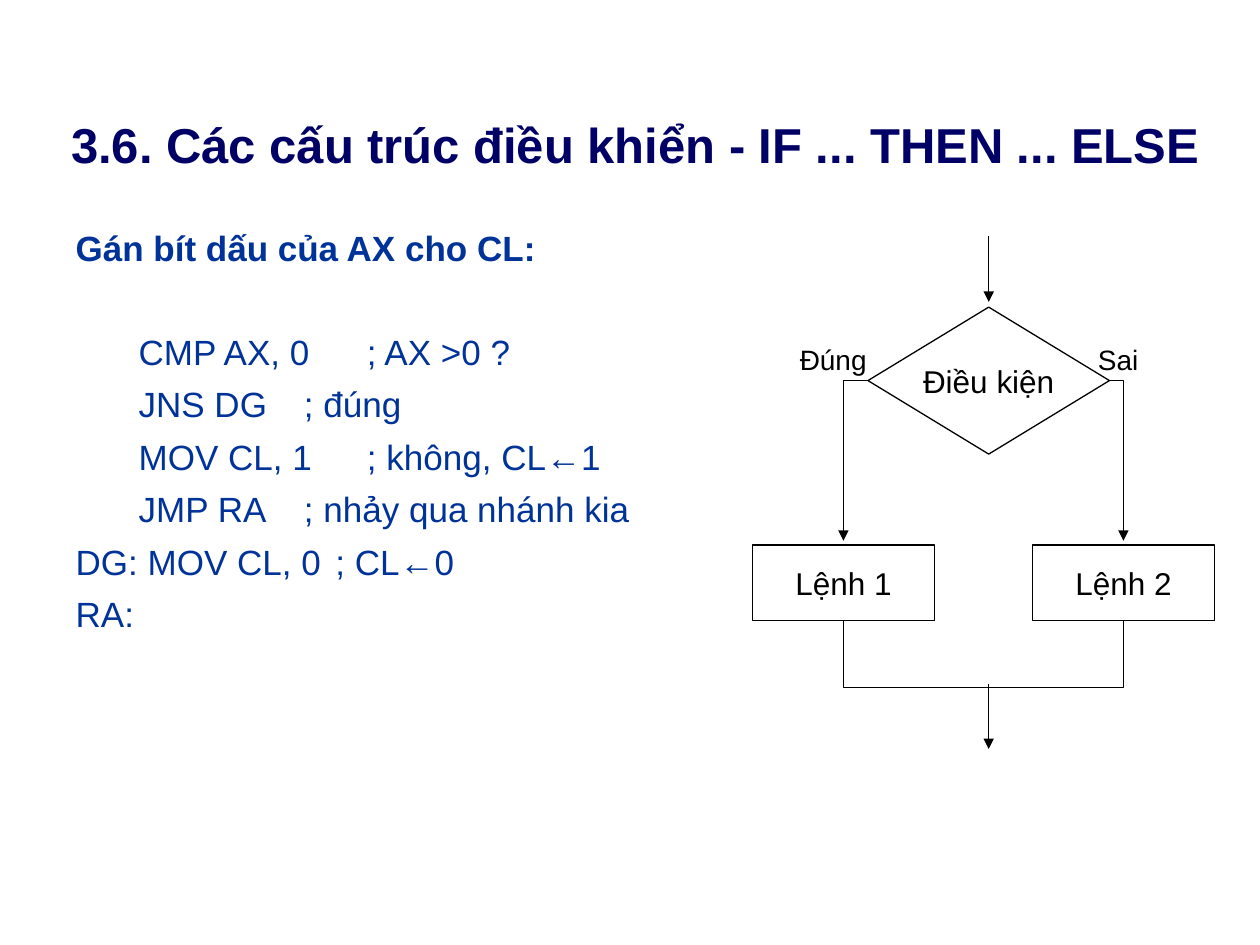
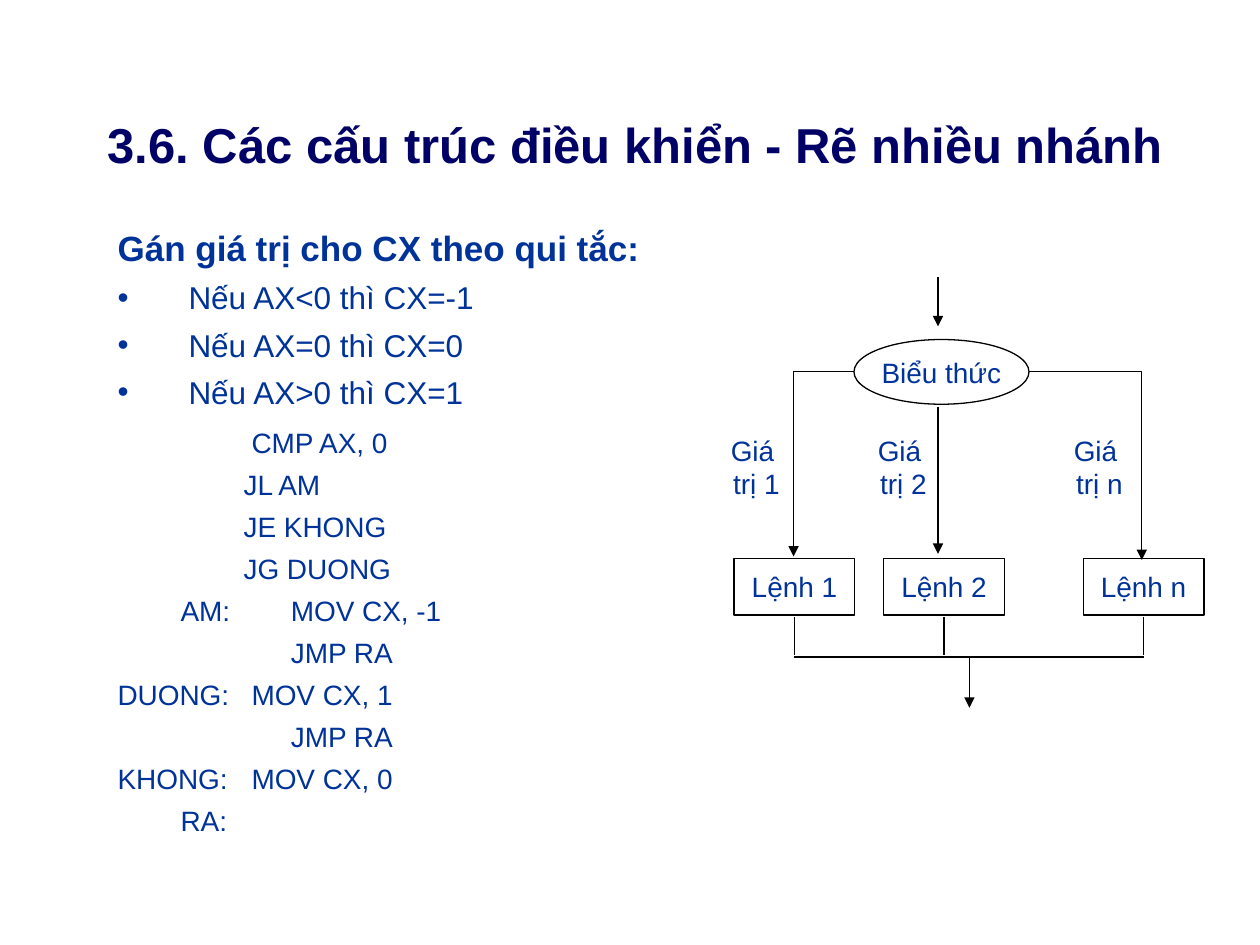
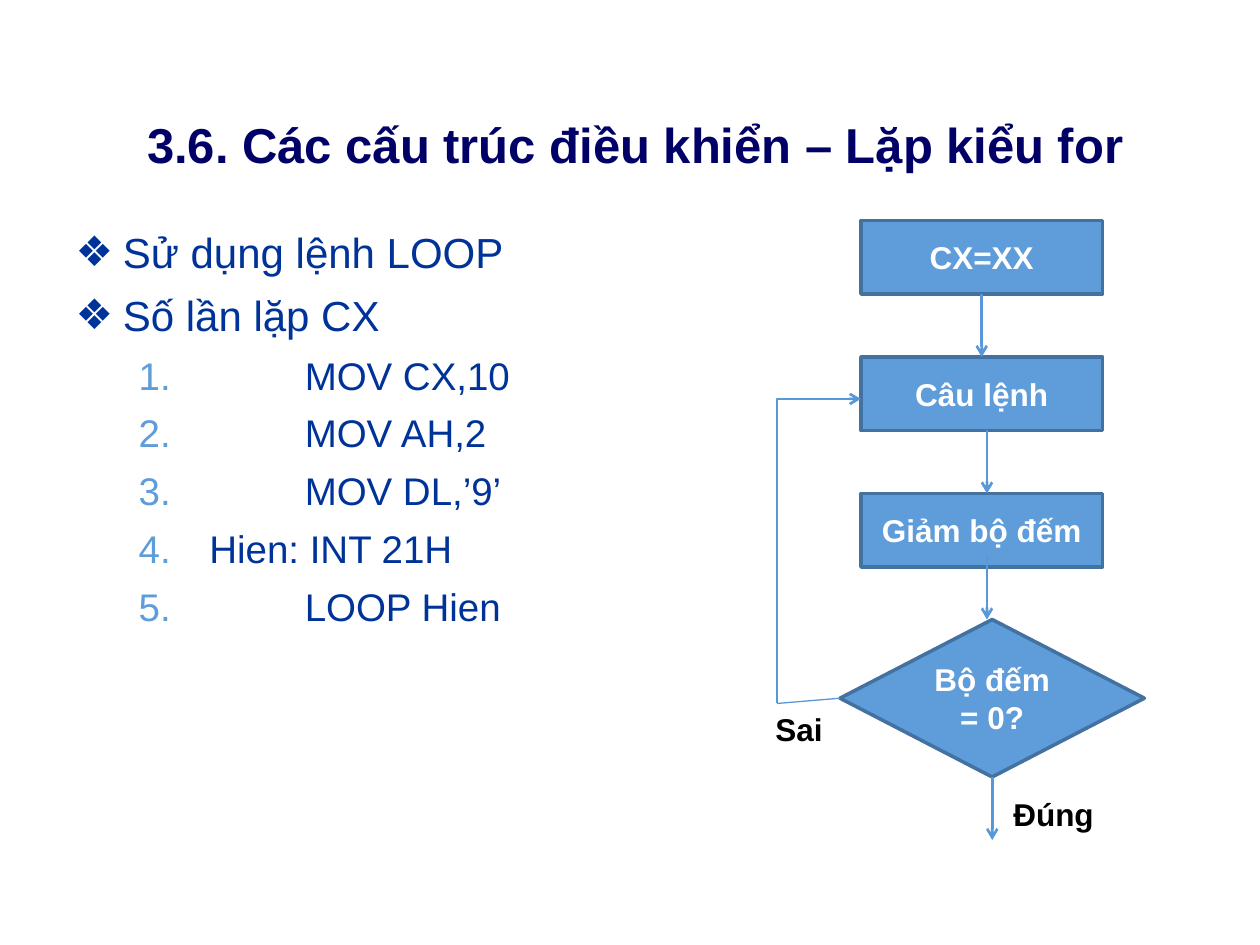
from dataclasses import dataclass

from lxml.etree import SubElement
from pptx import Presentation
from pptx.dml.color import RGBColor
from pptx.enum.shapes import MSO_CONNECTOR, MSO_SHAPE
from pptx.enum.text import MSO_ANCHOR, MSO_AUTO_SIZE, PP_ALIGN
from pptx.oxml.ns import qn
from pptx.util import Pt


@dataclass(frozen=True)
class Theme:
    """Colours, font, sizes and line widths shared by the slides."""
    font: str = "Arial"
    title: str = "000066"
    body: str = "003399"
    ink: str = "000000"
    light: str = "FFFFFF"
    accent: str = "5E9CDA"
    accent_edge: str = "4371A0"
    accent_flow: str = "5998D8"
    title_size: int = 28
    list_size: int = 24
    step_size: int = 22
    lead_size: int = 20
    text_size: int = 18
    code_size: int = 16
    thin: float = 0.75
    flow: float = 1.5
    edge: float = 2
    before: float = 0.3  # space above a paragraph, as a share of its type size


THEME = Theme()
TITLE_BOX = (18, 60, 690, 41)
TAB_STOPS = [72 * inch for inch in range(8)]


def colour(code):
    """Turn a hex code into a colour."""
    return RGBColor.from_string(code)


def add_run(paragraph, words, size, ink, bold=False):
    """Add one formatted run."""
    run = paragraph.add_run()
    run.text = words
    run.font.name = THEME.font
    run.font.size = Pt(size)
    run.font.bold = bold
    run.font.color.rgb = colour(ink)


def place(part, box):
    """Move a placeholder into a box."""
    part.left, part.top, part.width, part.height = map(Pt, box)


def add_title(slide, words, box=TITLE_BOX):
    """Fill the title placeholder."""
    title = slide.shapes.title
    place(title, box)
    frame = title.text_frame
    frame.auto_size = MSO_AUTO_SIZE.NONE
    frame.vertical_anchor = MSO_ANCHOR.BOTTOM
    frame.margin_top = frame.margin_bottom = Pt(2)
    frame.paragraphs[0].alignment = PP_ALIGN.CENTER
    add_run(frame.paragraphs[0], words, THEME.title_size, THEME.title, True)


@dataclass(frozen=True)
class Style:
    """Look of one kind of paragraph in a list."""
    size: int
    margin: float
    hang: float
    level: int = 0
    bold: bool = False
    bullet: str = ""
    numbered: bool = False
    extra_before: float = 0


def set_bullet(properties, style):
    """Set the bullet, number or absence of one."""
    if not (style.bullet or style.numbered):
        SubElement(properties, qn("a:buNone"))
        return
    shade = SubElement(properties, qn("a:buClr"))
    SubElement(shade, qn("a:srgbClr"),
               val=THEME.accent if style.numbered else THEME.body)
    SubElement(properties, qn("a:buFont"), typeface=THEME.font)
    if style.numbered:
        SubElement(properties, qn("a:buAutoNum"), type="arabicPeriod")
    else:
        SubElement(properties, qn("a:buChar"), char=style.bullet)


def add_list(slide, box, entries):
    """Fill the body placeholder with (style, words) entries."""
    body = slide.placeholders[1]
    place(body, box)
    frame = body.text_frame
    frame.word_wrap = True
    frame.auto_size = MSO_AUTO_SIZE.NONE
    frame.vertical_anchor = MSO_ANCHOR.TOP
    for index, (style, words) in enumerate(entries):
        paragraph = frame.add_paragraph() if index else frame.paragraphs[0]
        paragraph.level = style.level
        paragraph.space_before = Pt(style.size * THEME.before + style.extra_before)
        properties = paragraph._p.get_or_add_pPr()
        properties.set("marL", str(Pt(style.margin)))
        properties.set("indent", str(Pt(-style.hang)))
        set_bullet(properties, style)
        stops = SubElement(properties, qn("a:tabLst"))
        for stop in TAB_STOPS:
            SubElement(stops, qn("a:tab"), pos=str(Pt(stop)), algn="l")
        add_run(paragraph, words, style.size, THEME.body, style.bold)


@dataclass
class Flowchart:
    """A flowchart whose parts are placed relative to its top left corner."""
    slide: object
    left: float
    top: float
    size: int = THEME.text_size
    ink: str = THEME.ink
    bold: bool = False
    fill: str = ""
    edge: str = THEME.ink
    edge_width: float = THEME.thin
    flow: str = THEME.ink
    flow_width: float = THEME.thin
    arrow: str = "triangle"

    def spot(self, x, y):
        """Slide position of a point of the chart."""
        return Pt(self.left + x), Pt(self.top + y)

    def caption(self, frame, words, size, ink, align=PP_ALIGN.CENTER):
        """Put lines of text into a frame."""
        paragraph = frame.paragraphs[0]
        paragraph.alignment = align
        for index, line in enumerate(words.split("\n")):
            if index:
                paragraph.add_line_break()
            add_run(paragraph, line, size, ink, self.bold)

    def node(self, kind, box, words):
        """Add a step or decision."""
        x, y, width, height = box
        node = self.slide.shapes.add_shape(
            kind, *self.spot(x, y), Pt(width), Pt(height))
        node.shadow.inherit = False
        if self.fill:
            node.fill.solid()
            node.fill.fore_color.rgb = colour(self.fill)
        else:
            node.fill.background()
        node.line.color.rgb = colour(self.edge)
        node.line.width = Pt(self.edge_width)
        node.text_frame.word_wrap = bool(self.fill)
        node.text_frame.vertical_anchor = MSO_ANCHOR.MIDDLE
        self.caption(node.text_frame, words, self.size, self.ink)

    def label(self, box, words, size, ink, align=PP_ALIGN.LEFT, wrap=True):
        """Add a branch label."""
        x, y, width, height = box
        label = self.slide.shapes.add_textbox(
            *self.spot(x, y), Pt(width), Pt(height))
        label.text_frame.word_wrap = wrap
        label.text_frame.vertical_anchor = (
            MSO_ANCHOR.TOP if wrap else MSO_ANCHOR.MIDDLE)
        self.caption(label.text_frame, words, size, ink, align)

    def link(self, start, end, tip="tailEnd", elbow=False, width=None):
        """Add a line; an elbow runs across first, then up or down."""
        link = self.slide.shapes.add_connector(
            MSO_CONNECTOR.ELBOW if elbow else MSO_CONNECTOR.STRAIGHT,
            *self.spot(*start), *self.spot(*end))
        link.line.color.rgb = colour(self.flow)
        link.line.width = Pt(width or self.flow_width)
        properties = link._element.spPr
        if elbow:
            properties.find(qn("a:prstGeom")).set("prst", "bentConnector2")
        if tip:
            SubElement(properties.find(qn("a:ln")), qn(f"a:{tip}"),
                       type=self.arrow)
        SubElement(properties, qn("a:effectLst"))


def draw_if_else(slide, left, top):
    """Draw the two-way branch."""
    chart = Flowchart(slide, left, top)
    axis, true_x, false_x, merge_y = 135, 52, 212, 258
    chart.label((176, 57, 66, 27), "Sai", THEME.code_size, THEME.ink,
                PP_ALIGN.CENTER)
    chart.label((20, 57, 66, 27), "Đúng", THEME.code_size, THEME.ink)
    chart.node(MSO_SHAPE.DIAMOND, (axis - 69, 40.5, 138, 84), "Điều kiện")
    chart.link((axis, 0), (axis, 37.5))
    for x, words in ((true_x, "Lệnh 1"), (false_x, "Lệnh 2")):
        chart.node(MSO_SHAPE.RECTANGLE, (x - 52, 176.5, 104, 43), words)
        side = -69 if x < axis else 69
        chart.link((axis + side, 82.5), (x, 174), elbow=True)
        chart.link((axis, merge_y), (x, 219.5), tip=None, elbow=True)
    chart.link((axis, merge_y - 2), (axis, 293))


def draw_switch(slide, left, top):
    """Draw the many-way branch."""
    chart = Flowchart(slide, left, top, size=THEME.code_size, ink=THEME.body)
    axis, bus_y, exit_x = 130, 217, 148
    branches = (("1", 48, 0), ("2", 133.5, 84), ("n", 247.5, 196))
    chart.node(MSO_SHAPE.OVAL, (82, 35.5, 100, 37), "Biểu thức")
    for name, x, label_x in branches:
        chart.node(MSO_SHAPE.RECTANGLE, (x - 34.5, 160.5, 69, 32.5), f"Lệnh {name}")
        chart.link((x, 194), (x, 216), tip=None)
        chart.label((label_x, 88.5, 52.5, 39.5), f"Giá \ntrị {name}",
                    chart.size, chart.ink, PP_ALIGN.CENTER, wrap=False)
    chart.link((branches[-1][1], bus_y), (branches[0][1], bus_y), tip=None)
    chart.link((exit_x, bus_y), (exit_x, 246))
    chart.link((axis, 0), (axis, 28))
    chart.link((axis, 74), (axis, 158))
    chart.link((82, 54), (47.5, 159.5), elbow=True)
    chart.link((182, 54), (246.5, 161.5), elbow=True)


def draw_for_loop(slide, left, top):
    """Draw the counted loop."""
    chart = Flowchart(slide, left, top, ink=THEME.light, bold=True,
                      fill=THEME.accent, edge=THEME.accent_edge,
                      edge_width=THEME.edge, flow=THEME.accent_flow,
                      flow_width=THEME.flow, arrow="arrow")
    pitch, gap, back_x = 78, 36, 8
    steps = (("CX=XX", 125), ("Câu lệnh", 128), ("Giảm bộ đếm", 128))
    for row, (words, _) in enumerate(steps):
        chart.node(MSO_SHAPE.FLOWCHART_PROCESS, (56, row * pitch, 138, 42), words)
    chart.node(MSO_SHAPE.FLOWCHART_DECISION, (44, 228, 174, 90), "Bộ đếm = 0?")
    for (_, x), end in zip(steps, (pitch, 2 * pitch, 228)):
        chart.link((x, end - gap), (x, end))
    chart.link((56, 102), (back_x, 276), tip="headEnd", elbow=True)
    chart.link((44, 273), (back_x, 276), tip=None, width=THEME.thin)
    chart.link((131, 318), (131, 318 + gap))
    chart.label((136, 325, 64, 29), "Đúng", THEME.text_size, THEME.ink)
    chart.label((0, 276, 64, 29), "Sai", THEME.text_size, THEME.ink)


LEAD = Style(THEME.lead_size, 40.5, 40.5, bold=True)
PLAIN = Style(THEME.lead_size, 40.5, 40.5)
CODE = Style(THEME.lead_size, 58.5, 22.5, level=1)
CODE_FIRST = Style(THEME.lead_size, 58.5, 22.5, level=1, extra_before=29)
RULE = Style(THEME.text_size, 40.5, 40.5, bullet="•")
LABELLED = Style(THEME.code_size, 40.5, 40.5)
LABELLED_FIRST = Style(THEME.code_size, 40.5, 40.5, extra_before=4)
JUMP = Style(THEME.code_size, 93, 21, level=2)
TARGET = Style(THEME.code_size, 63, 27, level=1)
POINT = Style(THEME.list_size, 27, 27, bullet="❖")
STEP = Style(THEME.step_size, 131, 95, level=1, numbered=True)
STEP_LABELLED = Style(THEME.step_size, 76.5, 40.5, level=1, numbered=True)

IF_ELSE = [
    (LEAD, "Gán bít dấu của AX cho CL:"),
    (CODE_FIRST, "CMP AX, 0\t; AX >0 ?"),
    (CODE, "JNS DG\t; đúng"),
    (CODE, "MOV CL, 1\t; không, CL←1"),
    (CODE, "JMP RA\t; nhảy qua nhánh kia"),
    (PLAIN, "DG: MOV CL, 0\t; CL←0"),
    (PLAIN, "RA:"),
]
SWITCH = [
    (LEAD, "Gán giá trị cho CX theo qui tắc:"),
    (RULE, "Nếu AX<0 thì CX=-1"),
    (RULE, "Nếu AX=0 thì CX=0"),
    (RULE, "Nếu AX>0 thì CX=1"),
    (LABELLED_FIRST, "\t\tCMP AX, 0"),
    (JUMP, "JL AM"),
    (JUMP, "JE KHONG"),
    (JUMP, "JG DUONG"),
    (TARGET, "AM: \tMOV CX, -1"),
    (TARGET, "\t\tJMP RA"),
    (LABELLED, "DUONG: \tMOV CX, 1"),
    (TARGET, "\t\tJMP RA"),
    (LABELLED, "KHONG: \tMOV CX, 0"),
    (TARGET, "RA:"),
]
FOR_LOOP = [
    (POINT, "Sử dụng lệnh LOOP"),
    (POINT, "Số lần lặp CX"),
    (STEP, "MOV CX,10"),
    (STEP, "MOV AH,2"),
    (STEP, "MOV DL,’9’"),
    (STEP_LABELLED, "Hien: INT 21H"),
    (STEP, "LOOP Hien"),
]
TOPICS = [
    ("- IF ... THEN ... ELSE", (36, 126, 366, 356), IF_ELSE,
     draw_if_else, (430, 135)),
    ("- Rẽ nhiều nhánh", (60, 126, 354, 356), SWITCH,
     draw_switch, (406, 158.5)),
    ("– Lặp kiểu for", (36, 126, 354, 356), FOR_LOOP,
     draw_for_loop, (436, 126)),
]


def build():
    """Build and save the presentation."""
    deck = Presentation()
    deck.slide_width, deck.slide_height = Pt(720), Pt(540)
    for topic, list_box, entries, draw, corner in TOPICS:
        slide = deck.slides.add_slide(deck.slide_layouts[1])
        add_title(slide, f"3.6. Các cấu trúc điều khiển {topic}")
        add_list(slide, list_box, entries)
        draw(slide, *corner)
    deck.save("out.pptx")


build()
